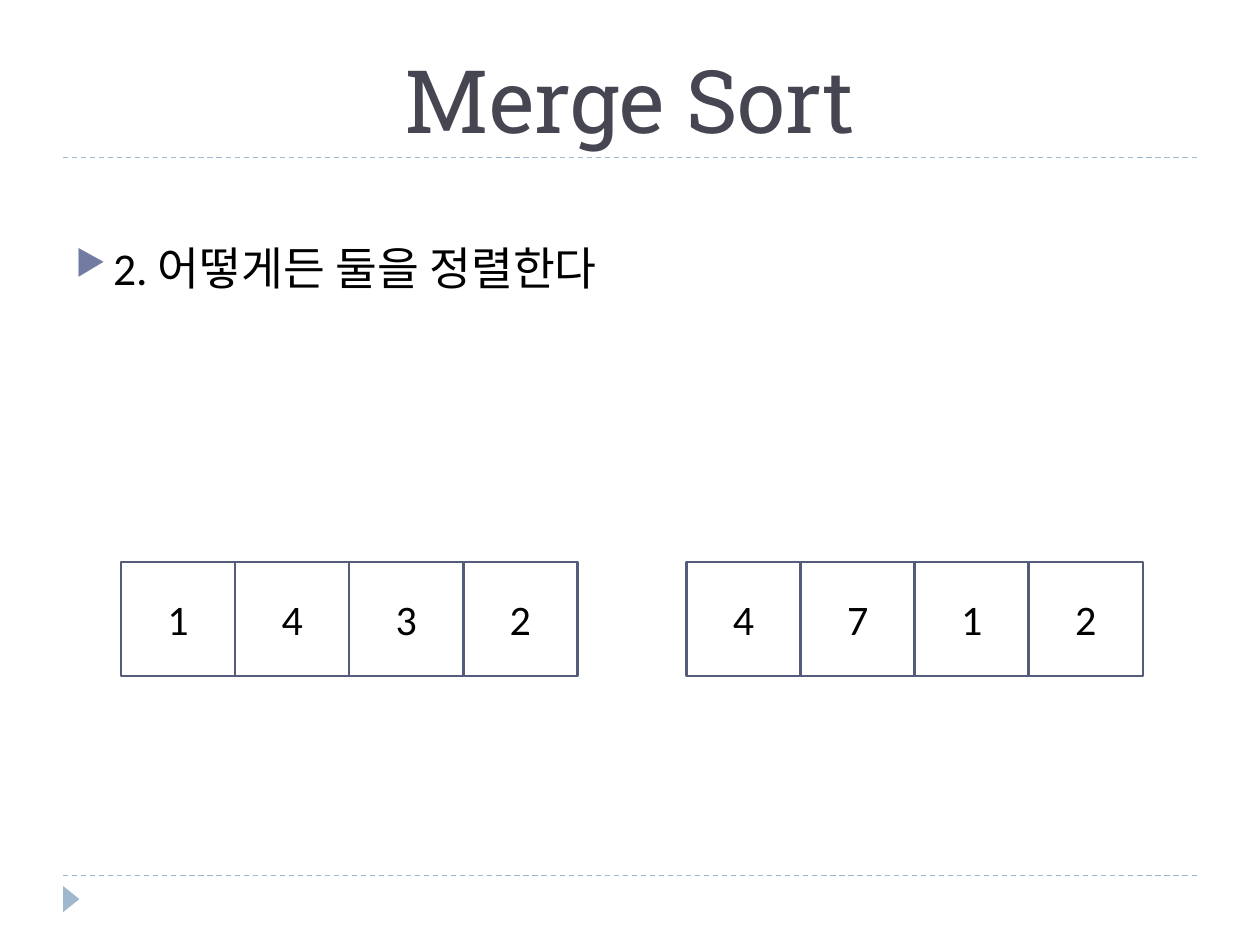
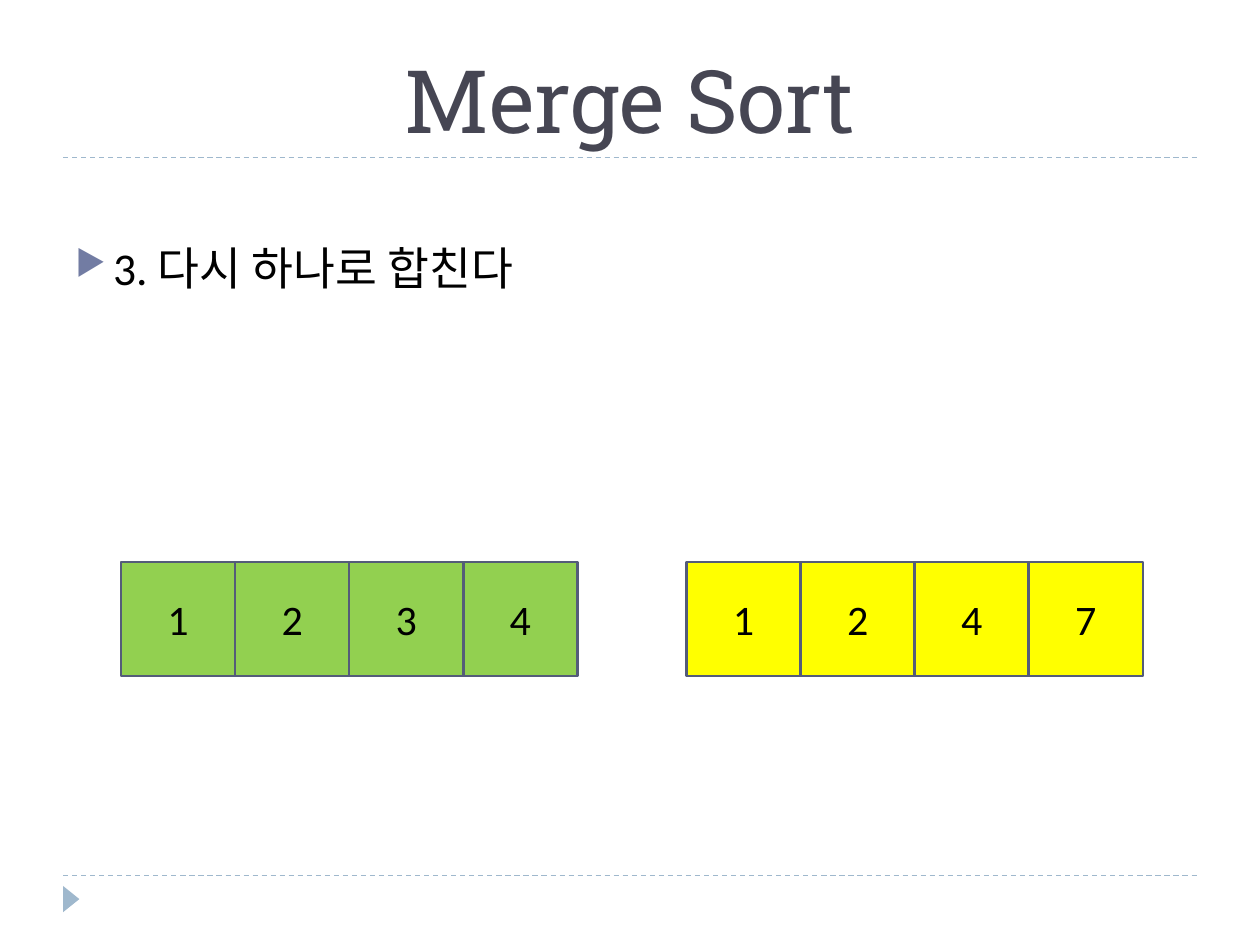
import lxml.etree
import pptx
import pptx.dml.color
import pptx.enum.dml
import pptx.enum.shapes
import pptx.enum.text
import pptx.oxml.ns
import pptx.util

Cm = pptx.util.Cm
Pt = pptx.util.Pt
RGBColor = pptx.dml.color.RGBColor
ANCHOR = pptx.enum.text.MSO_ANCHOR
CENTER = pptx.enum.text.PP_ALIGN.CENTER
SHAPE = pptx.enum.shapes.MSO_SHAPE
qn = pptx.oxml.ns.qn

# Colours
BLACK = RGBColor(0x00, 0x00, 0x00)
WHITE = RGBColor(0xFF, 0xFF, 0xFF)
GREEN = RGBColor(0x92, 0xD0, 0x50)
YELLOW = RGBColor(0xFF, 0xFF, 0x00)
TITLE_GREY = RGBColor(0x46, 0x46, 0x53)
RULE_BLUE = RGBColor(0x9F, 0xB8, 0xCD)
BULLET_BLUE = RGBColor(0x72, 0x7C, 0xA3)
CELL_BORDER = RGBColor(0x54, 0x5C, 0x79)

# Fonts and layout
TITLE_FONT = "Roboto Slab"
BODY_FONT = "Calibri"
MARGIN, CONTENT_WIDTH = 1.27, 22.86
TITLE_RULE, FOOTER_RULE = 3.18, 17.65
CELL_SIDE, ARRAY_TOP = 2.3, 11.33
LEFT_ARRAY, RIGHT_ARRAY = 2.44, 13.84


class MergeSortDeck:
    def __init__(self):
        self.deck = pptx.Presentation()
        self.deck.slide_width = Cm(25.4)
        self.deck.slide_height = Cm(19.05)
        self.slide = None

    def new_slide(self, title):
        self.slide = self.deck.slides.add_slide(self.deck.slide_layouts[6])
        for y in (FOOTER_RULE, TITLE_RULE):
            self.dashed_rule(y)
        self.footer_marker()
        self.text(title, 0.43, 2.75, TITLE_FONT, 50, TITLE_GREY,
                  anchor=ANCHOR.BOTTOM, align=CENTER)

    def dashed_rule(self, y):
        rule = self.slide.shapes.add_connector(
            pptx.enum.shapes.MSO_CONNECTOR.STRAIGHT,
            Cm(MARGIN), Cm(y), Cm(MARGIN + CONTENT_WIDTH), Cm(y))
        rule.line.color.rgb = RULE_BLUE
        rule.line.width = Pt(0.75)
        rule.line.dash_style = pptx.enum.dml.MSO_LINE.DASH
        lxml.etree.SubElement(rule._element.spPr, qn("a:effectLst"))

    def shape(self, kind, left, top, width, height, fill):
        shape = self.slide.shapes.add_shape(
            kind, Cm(left), Cm(top), Cm(width), Cm(height))
        shape.shadow.inherit = False
        shape.fill.solid()
        shape.fill.fore_color.rgb = fill
        return shape

    def footer_marker(self):
        marker = self.shape(SHAPE.ISOSCELES_TRIANGLE,
                            1.17, 17.96, 0.53, 0.33, RULE_BLUE)
        marker.rotation = 90
        marker.line.fill.background()

    def style(self, paragraph, font, size, color):
        paragraph.font.name = font
        paragraph.font.size = Pt(size)
        paragraph.font.color.rgb = color

    def text(self, words, top, height, font, size, color,
             anchor=ANCHOR.TOP, align=None, bullet=None):
        frame = self.slide.shapes.add_textbox(
            Cm(MARGIN), Cm(top), Cm(CONTENT_WIDTH), Cm(height)).text_frame
        frame.word_wrap = True
        frame.vertical_anchor = anchor
        paragraph = frame.paragraphs[0]
        paragraph.text = words
        if bullet:
            self.add_bullet(paragraph, bullet)
        paragraph.alignment = align
        self.style(paragraph, font, size, color)

    def add_bullet(self, paragraph, symbol):
        properties = paragraph._p.get_or_add_pPr()
        properties.set("marL", str(Cm(0.76)))
        properties.set("indent", str(-Cm(0.76)))
        color = lxml.etree.SubElement(properties, qn("a:buClr"))
        lxml.etree.SubElement(color, qn("a:srgbClr"), val=str(BULLET_BLUE))
        lxml.etree.SubElement(properties, qn("a:buSzPct"), val="76000")
        lxml.etree.SubElement(properties, qn("a:buChar"), char=symbol)

    def step(self, words):
        self.text(words, 4.71, 12.38, BODY_FONT, 26, BLACK, bullet="▶")

    def array(self, left, numbers, fill):
        for index, number in enumerate(numbers):
            cell = self.shape(SHAPE.RECTANGLE, left + index * CELL_SIDE,
                              ARRAY_TOP, CELL_SIDE, CELL_SIDE, fill)
            cell.line.color.rgb = CELL_BORDER
            cell.line.width = Pt(1.5)
            cell.text_frame.vertical_anchor = ANCHOR.MIDDLE
            paragraph = cell.text_frame.paragraphs[0]
            paragraph.text = str(number)
            paragraph.alignment = CENTER
            self.style(paragraph, BODY_FONT, 24, BLACK)


def main():
    sort = MergeSortDeck()

    # Step 2: the two unsorted halves
    sort.new_slide("Merge Sort")
    sort.step("2. 어떻게든 둘을 정렬한다")
    sort.array(LEFT_ARRAY, (1, 4, 3, 2), WHITE)
    sort.array(RIGHT_ARRAY, (4, 7, 1, 2), WHITE)

    # Step 3: the sorted halves, ready to merge
    sort.new_slide("Merge Sort")
    sort.step("3. 다시 하나로 합친다")
    sort.array(LEFT_ARRAY, (1, 2, 3, 4), GREEN)
    sort.array(RIGHT_ARRAY, (1, 2, 4, 7), YELLOW)

    sort.deck.save("out.pptx")


if __name__ == "__main__":
    main()
